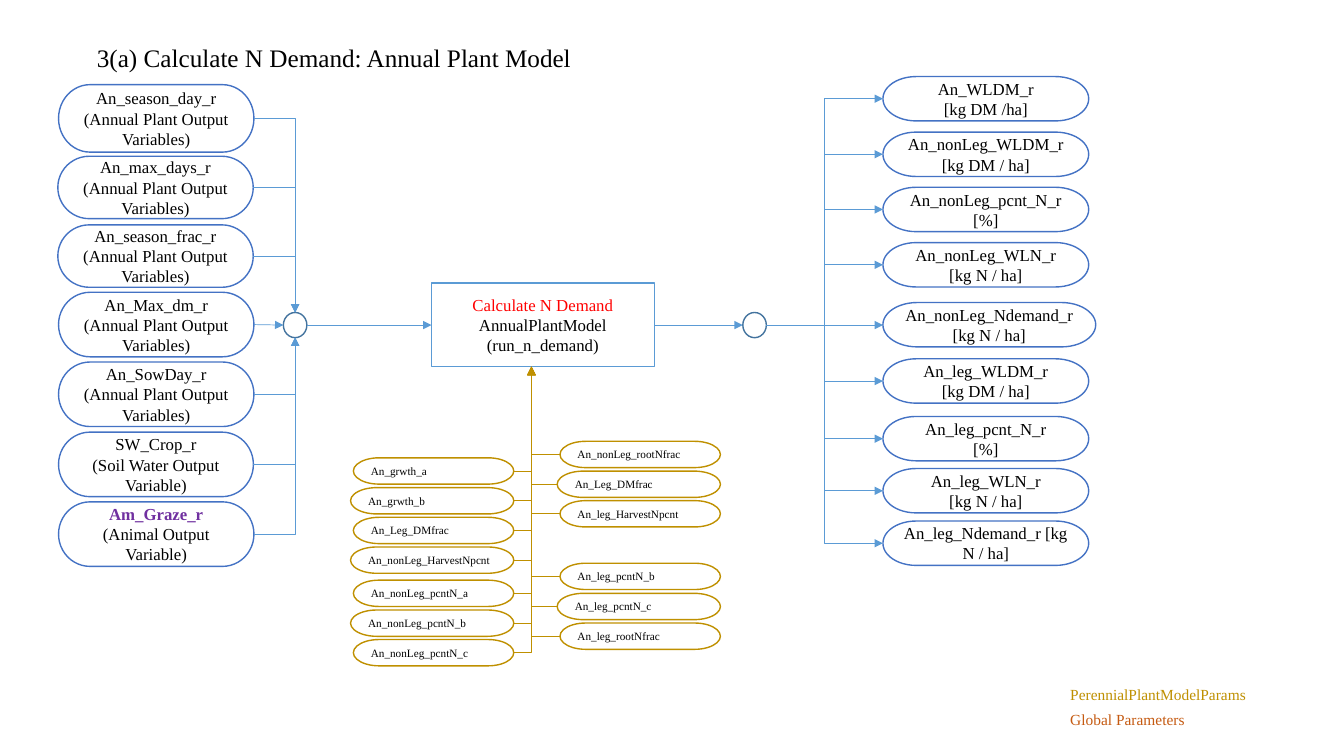
from dataclasses import dataclass

from lxml import etree
from pptx import Presentation
from pptx.dml.color import RGBColor
from pptx.enum.shapes import MSO_CONNECTOR, MSO_SHAPE
from pptx.enum.text import MSO_ANCHOR, MSO_AUTO_SIZE, PP_ALIGN
from pptx.oxml.ns import qn
from pptx.util import Pt

TERMINATOR = MSO_SHAPE.FLOWCHART_TERMINATOR
RECTANGLE = MSO_SHAPE.RECTANGLE
OVAL = MSO_SHAPE.OVAL
STRAIGHT = MSO_CONNECTOR.STRAIGHT
ELBOW = MSO_CONNECTOR.ELBOW
LEFT = PP_ALIGN.LEFT
CENTER = PP_ALIGN.CENTER
MIDDLE = MSO_ANCHOR.MIDDLE
TOP = MSO_ANCHOR.TOP
FIXED = MSO_AUTO_SIZE.NONE


@dataclass(frozen=True)
class Theme:
    font: str = "Times New Roman"
    text: str = "000000"
    white: str = "FFFFFF"
    variable: str = "4472C4"
    flow: str = "5B9BD5"
    junction: str = "43739E"
    parameter: str = "BF9000"
    shared: str = "C55A11"
    process: str = "FF0000"
    animal: str = "7030A0"
    title_size: float = 18
    node_size: float = 12
    legend_size: float = 11
    parameter_size: float = 8
    outline: float = 1
    wire: float = 0.5


@dataclass(frozen=True)
class Box:
    left: float
    top: float
    width: float
    height: float

    @property
    def right(self) -> float:
        return self.left + self.width

    @property
    def bottom(self) -> float:
        return self.top + self.height

    @property
    def center(self) -> float:
        return self.left + self.width / 2

    @property
    def middle(self) -> float:
        return self.top + self.height / 2

    def lengths(self) -> tuple:
        return Pt(self.left), Pt(self.top), Pt(self.width), Pt(self.height)


@dataclass(frozen=True)
class Node:
    text: str
    box: Box
    lead_color: str = Theme.text
    lead_bold: bool = False


THEME = Theme()
PLANT = "(Annual Plant Output Variables)"
INPUTS = [
    Node(f"An_season_day_r\n{PLANT}", Box(41.8, 60.5, 139.6, 48.2)),
    Node(f"An_max_days_r\n{PLANT}", Box(41.3, 111.6, 139.6, 44.6)),
    Node(f"An_season_frac_r\n{PLANT}", Box(41.3, 160.6, 139.6, 44.6)),
    Node(f"An_Max_dm_r\n{PLANT}", Box(41.8, 208.8, 139.6, 46.1)),
    Node(f"An_SowDay_r\n{PLANT}", Box(41.8, 258.6, 139.6, 46.1)),
    Node("SW_Crop_r\n(Soil Water Output Variable)", Box(41.8, 308.7, 139.2, 46.1)),
    Node("Am_Graze_r\n(Animal Output Variable)", Box(41.8, 358.5, 139.6, 46.1), THEME.animal, True),
]
OUTPUTS = [
    Node(text, Box(630.7, top, width, 31.7))
    for text, top, width in [
        ("An_WLDM_r\n[kg DM /ha]", 54.7, 147),
        ("An_nonLeg_WLDM_r [kg DM / ha]", 94.4, 147),
        ("An_nonLeg_pcnt_N_r [%]", 133.8, 147),
        ("An_nonLeg_WLN_r [kg N / ha]", 173.3, 147),
        ("An_nonLeg_Ndemand_r [kg N / ha]", 216.1, 152),
        ("An_leg_WLDM_r\n[kg DM / ha]", 256.3, 147),
        ("An_leg_pcnt_N_r\n[%]", 297.5, 147),
        ("An_leg_WLN_r\n[kg N / ha]", 334.7, 147),
        ("An_leg_Ndemand_r [kg N / ha]", 372.2, 147),
    ]
]
LEFT_PARAMETERS = [
    ("An_grwth_a", 327), ("An_grwth_b", 348.3), ("An_Leg_DMfrac", 369.5),
    ("An_nonLeg_HarvestNpcnt", 390.7), ("An_nonLeg_pcntN_a", 414.4),
    ("An_nonLeg_pcntN_b", 435.7), ("An_nonLeg_pcntN_c", 456.8),
]
RIGHT_PARAMETERS = [
    ("An_nonLeg_rootNfrac", 315.2), ("An_Leg_DMfrac", 336.5), ("An_leg_HarvestNpcnt", 357.6),
    ("An_leg_pcntN_b", 402.3), ("An_leg_pcntN_c", 423.8), ("An_leg_rootNfrac", 445),
]
PROCESS = Node(
    "Calculate N Demand\nAnnualPlantModel (run_n_demand)", Box(308.2, 202.2, 159.2, 59.8), THEME.process
)
GATHER = Box(202.4, 223.2, 16.8, 18)
SPREAD = Box(530.6, 223.2, 16.8, 18)
PARAMETER_TRUNK = 379.6


def write(frame, text: str, size: float, color: str, align, anchor, wrap: bool = True) -> None:
    frame.text = text
    frame.word_wrap = wrap
    frame.auto_size = FIXED
    frame.vertical_anchor = anchor
    for para in frame.paragraphs:
        para.alignment = align
        for span in para.runs:
            span.font.name = THEME.font
            span.font.size = Pt(size)
            span.font.color.rgb = RGBColor.from_string(color)


def add_outline(page, kind, box: Box, color: str, filled: bool = True):
    shape = page.shapes.add_shape(kind, *box.lengths())
    shape.shadow.inherit = False
    if filled:
        shape.fill.solid()
        shape.fill.fore_color.rgb = RGBColor.from_string(THEME.white)
    else:
        shape.fill.background()
    shape.line.color.rgb = RGBColor.from_string(color)
    shape.line.width = Pt(THEME.outline)
    return shape


def add_node(page, node: Node, kind, color: str, size: float = THEME.node_size, align=CENTER) -> None:
    frame = add_outline(page, kind, node.box, color).text_frame
    write(frame, node.text, size, THEME.text, align, MIDDLE)
    lead = frame.paragraphs[0].runs[0].font
    lead.color.rgb = RGBColor.from_string(node.lead_color)
    lead.bold = node.lead_bold


def add_arrow(page, start: tuple, end: tuple, color: str, kind=STRAIGHT, corner: bool = False) -> None:
    arrow = page.shapes.add_connector(kind, *map(Pt, start + end))
    arrow.line.color.rgb = RGBColor.from_string(color)
    arrow.line.width = Pt(THEME.wire)
    properties = arrow._element.spPr
    etree.SubElement(properties.find(qn("a:ln")), qn("a:tailEnd"), type="triangle")
    etree.SubElement(properties, qn("a:effectLst"))
    if corner:
        properties.find(qn("a:prstGeom")).set("prst", "bentConnector2")
        frame = properties.find(qn("a:xfrm"))
        if frame.get("flipH") and frame.get("flipV"):
            del frame.attrib["flipH"], frame.attrib["flipV"]
            frame.set("rot", "10800000")


def add_parameters(page, entries: list, wide_every: int, edge: float, on_left: bool) -> None:
    for index, (text, top) in enumerate(entries):
        width = 116.6 if index % wide_every == 1 else 114.6
        box = Box(edge - width, top, width, 18.8)
        add_node(page, Node(text, box), TERMINATOR, THEME.parameter, THEME.parameter_size, LEFT)
        start = (box.right if on_left else box.left, box.middle)
        add_arrow(page, start, (PARAMETER_TRUNK, PROCESS.box.bottom), THEME.parameter, ELBOW, True)


def add_legend(page, text: str, top: float, color: str) -> None:
    label = page.shapes.add_textbox(*Box(757.4, top, 146.2, 20.6).lengths())
    write(label.text_frame, text, THEME.legend_size, color, LEFT, TOP)


def main() -> None:
    deck = Presentation()
    deck.slide_width, deck.slide_height = Pt(960), Pt(540)
    page = deck.slides.add_slide(deck.slide_layouts[5])

    title = page.shapes.title
    title.left, title.top, title.width, title.height = Box(62, 26.8, 357, 29).lengths()
    heading = "3(a) Calculate N Demand: Annual Plant Model"
    write(title.text_frame, heading, THEME.title_size, THEME.text, LEFT, TOP, False)

    add_node(page, PROCESS, RECTANGLE, THEME.flow)
    for junction in (GATHER, SPREAD):
        add_outline(page, OVAL, junction, THEME.junction, False)

    axis = GATHER.middle
    for node in INPUTS:
        add_node(page, node, TERMINATOR, THEME.variable)
        start = (node.box.right, node.box.middle)
        if node.box.top < axis < node.box.bottom:
            add_arrow(page, start, (GATHER.left, axis), THEME.flow)
        else:
            side = GATHER.top if node.box.middle < axis else GATHER.bottom
            add_arrow(page, start, (GATHER.center, side), THEME.flow, ELBOW, True)

    add_arrow(page, (GATHER.right, axis), (PROCESS.box.left, axis), THEME.flow)
    add_arrow(page, (PROCESS.box.right, axis), (SPREAD.left, axis), THEME.flow)

    for node in OUTPUTS:
        add_node(page, node, TERMINATOR, THEME.variable)
        level = node.box.top < axis < node.box.bottom
        end = (node.box.left, axis if level else node.box.middle)
        add_arrow(page, (SPREAD.right, axis), end, THEME.flow, STRAIGHT if level else ELBOW)

    add_parameters(page, LEFT_PARAMETERS, 2, 367, True)
    add_parameters(page, RIGHT_PARAMETERS, 3, 514.6, False)
    add_legend(page, "PerennialPlantModelParams", 486, THEME.parameter)
    add_legend(page, "Global Parameters", 503.5, THEME.shared)
    deck.save("out.pptx")


main()
